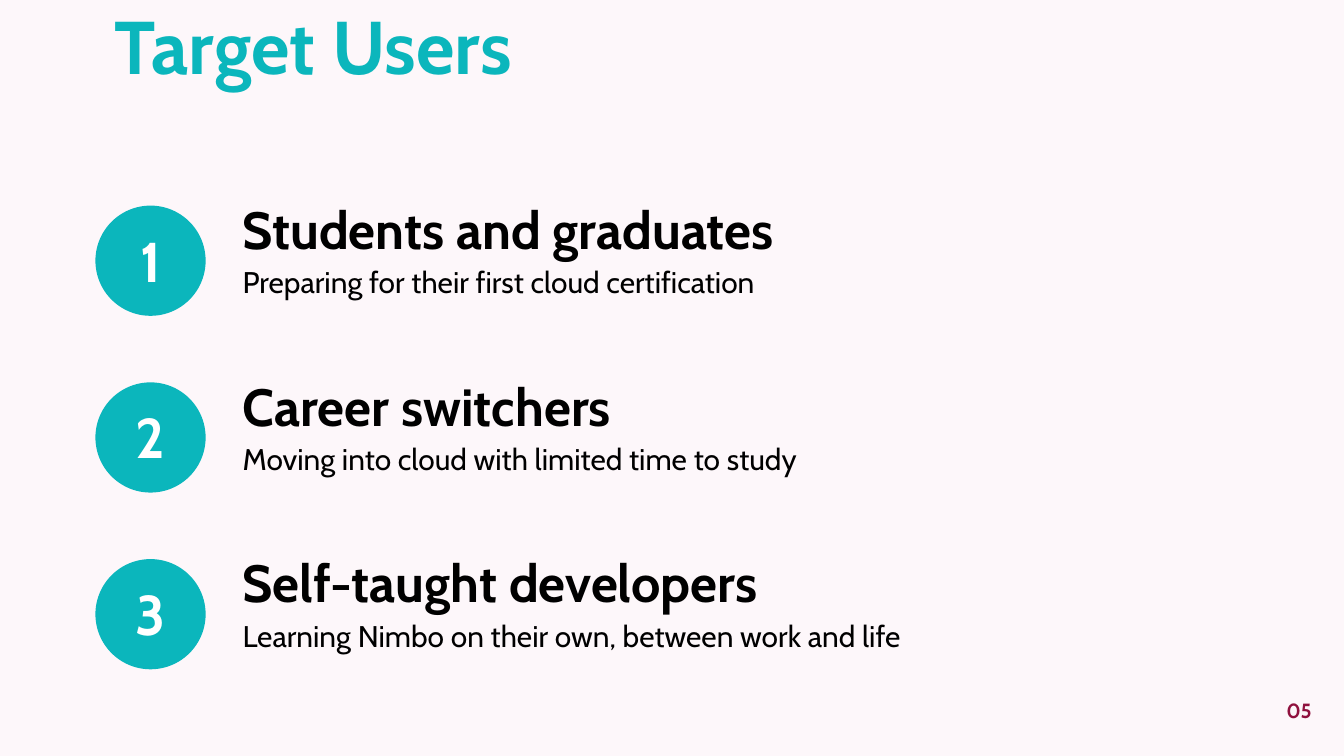
from pptx import Presentation
from pptx.dml.color import RGBColor
from pptx.enum.shapes import MSO_SHAPE
from pptx.enum.text import MSO_ANCHOR, PP_ALIGN
from pptx.util import Inches, Pt

FONT = "Cabin"
TEAL = "0BB6BC"
BLACK = "000000"
WHITE = "FFFFFF"
BACKGROUND = "FDF7FA"
PAGE_NUMBER_COLOR = "90113E"

FIRST_ROW_TOP = 2.95
ROW_PITCH = 2.63
CIRCLE_SIZE = 1.64
CIRCLE_OFFSET = 0.11

USERS = [
    ("Students and graduates", "Preparing for their first cloud certification"),
    ("Career switchers", "Moving into cloud with limited time to study"),
    ("Self-taught developers", "Learning Nimbo on their own, between work and life"),
]


def paint(color_holder, color):
    """Set a solid fill from a hex string."""
    color_holder.solid()
    color_holder.fore_color.rgb = RGBColor.from_string(color)


def remove_margins(text_frame):
    text_frame.margin_left = text_frame.margin_right = 0
    text_frame.margin_top = text_frame.margin_bottom = 0
    text_frame.word_wrap = True


def write_paragraph(paragraph, text, size, line_height, color, bold=True,
                    alignment=PP_ALIGN.LEFT):
    paragraph.text = text
    paragraph.alignment = alignment
    paragraph.line_spacing = Pt(line_height)
    font = paragraph.runs[0].font
    font.name = FONT
    font.size = Pt(size)
    font.bold = bold
    paint(font.fill, color)


def add_text_frame(slide, left, top, width, height):
    box = slide.shapes.add_textbox(
        Inches(left), Inches(top), Inches(width), Inches(height))
    remove_margins(box.text_frame)
    return box.text_frame


def add_number_circle(slide, number, top):
    circle = slide.shapes.add_shape(
        MSO_SHAPE.OVAL, Inches(1.42), Inches(top),
        Inches(CIRCLE_SIZE), Inches(CIRCLE_SIZE))
    circle.shadow.inherit = False
    paint(circle.fill, TEAL)
    circle.line.fill.background()
    remove_margins(circle.text_frame)
    circle.text_frame.vertical_anchor = MSO_ANCHOR.MIDDLE
    write_paragraph(circle.text_frame.paragraphs[0], str(number), 60, 70, WHITE,
                    alignment=PP_ALIGN.CENTER)


def add_user_row(slide, number, heading, description, top):
    add_number_circle(slide, number, top + CIRCLE_OFFSET)
    text_frame = add_text_frame(slide, 3.61, top, 14.22, 2.19)
    heading_paragraph = text_frame.paragraphs[0]
    write_paragraph(heading_paragraph, heading, 56, 66, BLACK)
    heading_paragraph.space_after = Pt(3)
    write_paragraph(text_frame.add_paragraph(), description, 32, 40, BLACK, bold=False)


def main():
    presentation = Presentation()
    presentation.slide_width = Inches(20)
    presentation.slide_height = Inches(11.25)
    slide = presentation.slides.add_slide(presentation.slide_layouts[6])
    paint(slide.background.fill, BACKGROUND)

    page_number = add_text_frame(slide, 18.65, 10.37, 0.87, 0.38)
    write_paragraph(page_number.paragraphs[0], "05", 22, 27.5, PAGE_NUMBER_COLOR,
                    alignment=PP_ALIGN.RIGHT)
    title = add_text_frame(slide, 1.7, 0, 9.93, 1.34)
    write_paragraph(title.paragraphs[0], "Target Users", 80, 96, TEAL)

    for index, (heading, description) in enumerate(USERS):
        add_user_row(slide, index + 1, heading, description,
                     FIRST_ROW_TOP + index * ROW_PITCH)

    presentation.save("out.pptx")


if __name__ == "__main__":
    main()
